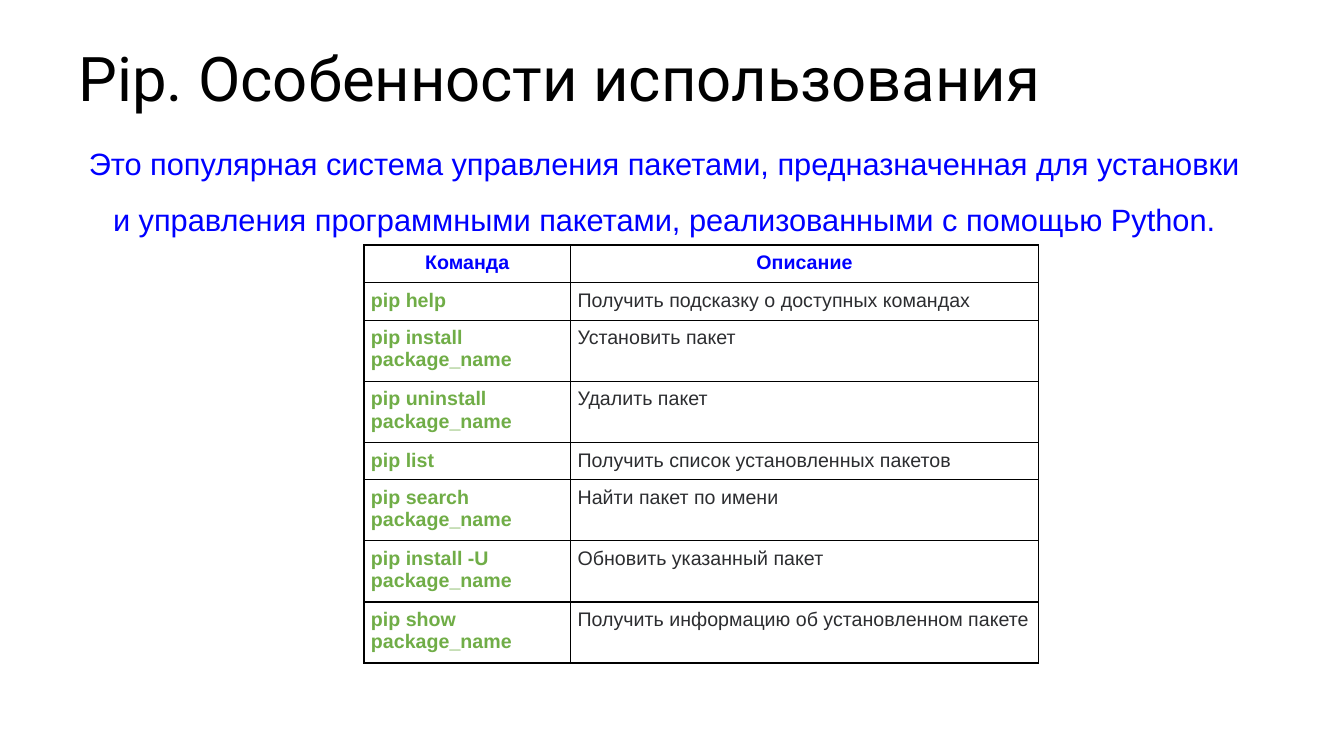
from lxml.etree import SubElement
from pptx import Presentation
from pptx.dml.color import RGBColor
from pptx.enum.text import MSO_ANCHOR, PP_ALIGN
from pptx.oxml.ns import qn
from pptx.util import Pt

COLORS = {
    "title": "000000",
    "accent": "0000FF",
    "command": "70AD47",
    "description": "2C2D30",
    "border": "000000",
}
HEADERS = ("Команда", "Описание")
COMMANDS = (
    ("pip help", "Получить подсказку о доступных командах"),
    ("pip install package_name", "Установить пакет"),
    ("pip uninstall package_name", "Удалить пакет"),
    ("pip list", "Получить список установленных пакетов"),
    ("pip search package_name", "Найти пакет по имени"),
    ("pip install -U package_name", "Обновить указанный пакет"),
    ("pip show package_name", "Получить информацию об установленном пакете"),
)
COLUMN_WIDTHS = (147.6, 334.1)
ONE_LINE_HEIGHT = 25.7
TWO_LINE_HEIGHT = 41.5
CELL_MARGIN = 5


def add_span(para, text, size, color, font="Arial", bold=False):
    span = para.add_run()
    span.text = text
    span.font.name = font
    span.font.size = Pt(size)
    span.font.bold = bold
    span.font.color.rgb = RGBColor.from_string(COLORS[color])


def add_text_box(page, top, height, anchor):
    box = page.shapes.add_textbox(Pt(49), Pt(top), Pt(851), Pt(height))
    frame = box.text_frame
    frame.word_wrap = True
    frame.vertical_anchor = anchor
    return frame.paragraphs[0]


def add_title(page):
    para = add_text_box(page, 23.8, 61.9, MSO_ANCHOR.BOTTOM)
    para.line_spacing = 0.9
    add_span(para, "Pip. Особенности использования", 44, "title", "Roboto")


def add_summary(page):
    para = add_text_box(page, 105.1, 49.7, MSO_ANCHOR.MIDDLE)
    para.alignment = PP_ALIGN.CENTER
    para.line_spacing = 1.5
    para.space_before = para.space_after = Pt(10)
    add_span(
        para,
        "Это популярная система управления пакетами, предназначенная для установки "
        "и управления программными пакетами, реализованными с помощью Python.",
        22,
        "accent",
    )


def add_borders(cell):
    properties = cell._tc.get_or_add_tcPr()
    for position, side in enumerate(("a:lnL", "a:lnR", "a:lnT", "a:lnB")):
        line = SubElement(properties, qn(side), w=str(Pt(1)))
        fill = SubElement(line, qn("a:solidFill"))
        SubElement(fill, qn("a:srgbClr"), val=COLORS["border"])
        properties.insert(position, line)


def fill_cell(cell, text, color, bold, alignment):
    cell.fill.background()
    cell.margin_left = cell.margin_right = Pt(CELL_MARGIN)
    cell.margin_top = cell.margin_bottom = Pt(CELL_MARGIN)
    para = cell.text_frame.paragraphs[0]
    para.alignment = alignment
    add_span(para, text, 14, color, bold=bold)
    add_borders(cell)


def add_command_table(page):
    rows = (HEADERS,) + COMMANDS
    heights = [
        TWO_LINE_HEIGHT if "package_name" in row[0] else ONE_LINE_HEIGHT
        for row in rows
    ]
    frame = page.shapes.add_table(
        len(rows), len(HEADERS), Pt(260), Pt(175),
        Pt(sum(COLUMN_WIDTHS)), Pt(sum(heights)),
    )
    table = frame.table
    table.horz_banding = False
    for column, width in zip(table.columns, COLUMN_WIDTHS):
        column.width = Pt(width)
    for index, (row, height) in enumerate(zip(rows, heights)):
        table.rows[index].height = Pt(height)
        header = index == 0
        alignment = PP_ALIGN.CENTER if header else PP_ALIGN.LEFT
        colors = ("accent", "accent") if header else ("command", "description")
        for column, (text, color) in enumerate(zip(row, colors)):
            bold = header or column == 0
            fill_cell(table.cell(index, column), text, color, bold, alignment)


def main():
    deck = Presentation()
    deck.slide_width = Pt(960)
    deck.slide_height = Pt(540)
    page = deck.slides.add_slide(deck.slide_layouts[6])
    add_title(page)
    add_summary(page)
    add_command_table(page)
    deck.save("out.pptx")


if __name__ == "__main__":
    main()
